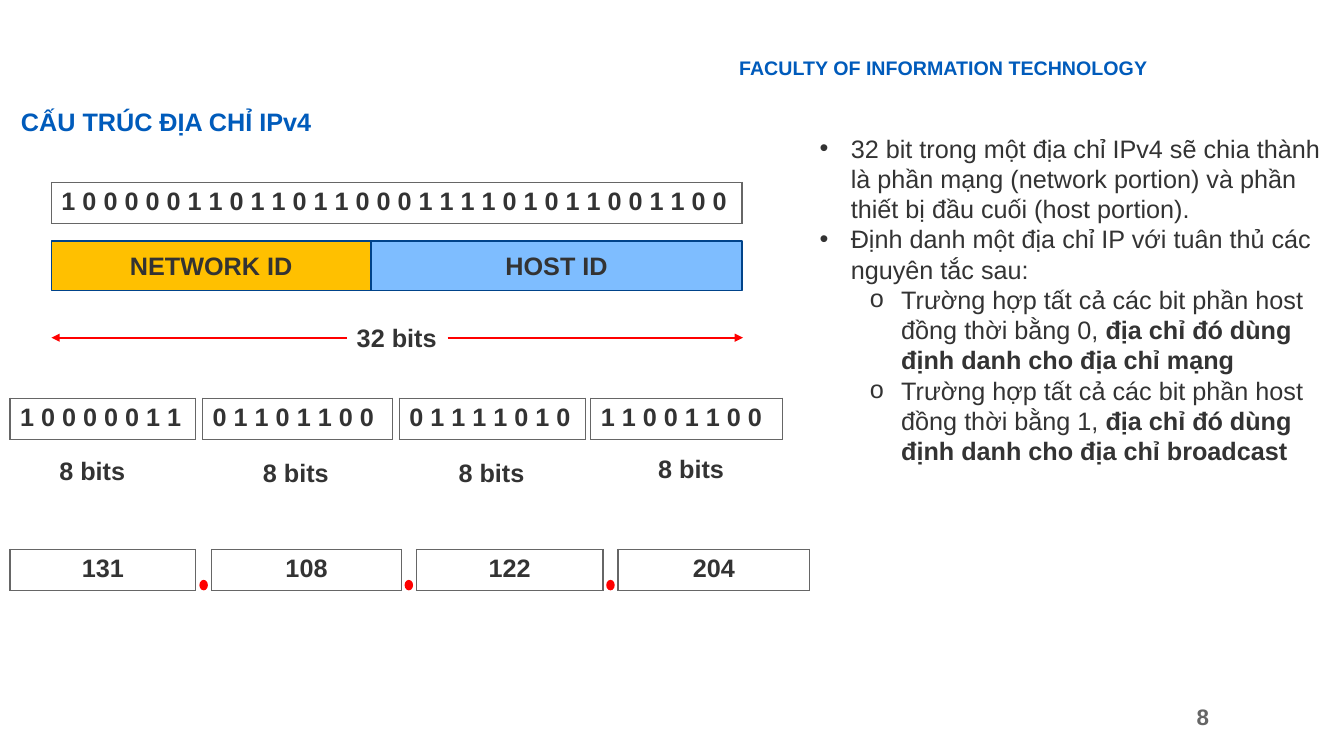
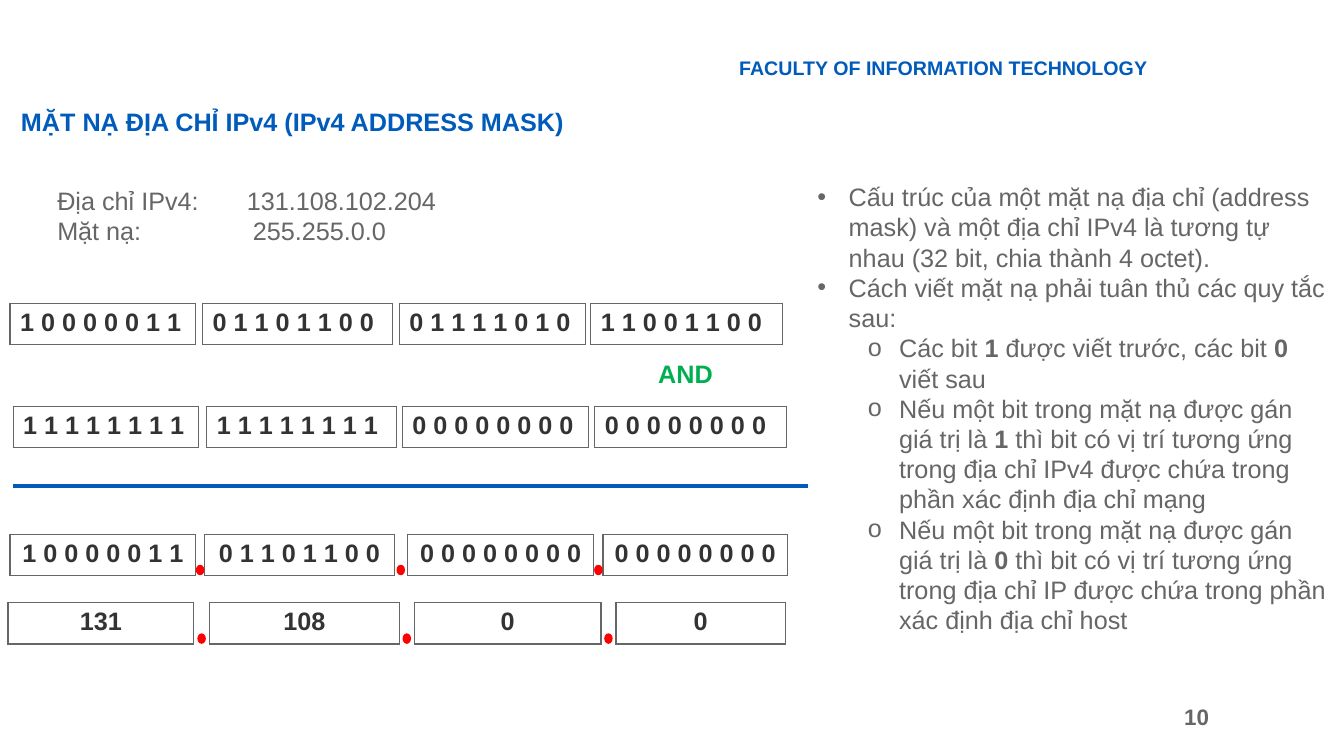
from lxml.etree import SubElement
from pptx import Presentation
from pptx.dml.color import RGBColor
from pptx.enum.shapes import MSO_CONNECTOR, MSO_SHAPE
from pptx.enum.text import MSO_ANCHOR, PP_ALIGN
from pptx.oxml.ns import qn
from pptx.util import Inches, Pt

# Shared look
BLUE, DARK, GRAY, RED, GREEN = "005BBB", "333333", "666666", "FF0000", "00B050"
NAVY, GOLD, SKY = "00438A", "FFC000", "7EBDFF"
BASE = {"name": "Arial", "size": Pt(18), "bold": False}
BOLD = {**BASE, "bold": True}
HEAD = {**BOLD, "size": Pt(14)}
PAGE = {**BOLD, "size": Pt(16)}
LEFT, MID, RIGHT = PP_ALIGN.LEFT, PP_ALIGN.CENTER, PP_ALIGN.RIGHT

# Octet rows: left edges and widths
HIGH = 0.41
WIDE = [1.84, 1.88, 1.85, 1.9]
BITS = [0.1, 2.01, 3.96, 5.86]
MASK = [0.13, 2.05, 3.99, 5.9]
SUMS = [0.1, 2.03, 4.04, 5.98]
NUMS = [0.1, 2.1, 4.13, 6.13]
CODE = ["1 0 0 0 0 0 1 1", "0 1 1 0 1 1 0 0", "0 1 1 1 1 0 1 0", "1 1 0 0 1 1 0 0"]
ONES, NULL = "1 1 1 1 1 1 1 1", "0 0 0 0 0 0 0 0"


def tint(code):
    return RGBColor.from_string(code)


def box(*sides):
    return [Inches(side) for side in sides]


def write(para, text, form, color, align=LEFT):
    """Add text; parts between ** marks are bold."""
    para.alignment = align
    for num, part in enumerate(text.split("**")):
        if not part:
            continue
        run = para.add_run()
        run.text = part
        for key, value in form.items():
            setattr(run.font, key, value)
        if num % 2:
            run.font.bold = True
        run.font.color.rgb = tint(color)


def label(slide, at, text, form=BOLD, color=DARK, align=LEFT, wrap=True):
    frame = slide.shapes.add_textbox(*box(*at)).text_frame
    frame.word_wrap = wrap
    if text:
        write(frame.paragraphs[0], text, form, color, align)
    return frame


def next_para(frame, num):
    return frame.add_paragraph() if num else frame.paragraphs[0]


def bullets(slide, at, color, items):
    frame = label(slide, at, "")
    for num, (level, text) in enumerate(items):
        para = next_para(frame, num)
        para.level = level
        props = para._p.get_or_add_pPr()
        props.set("marL", str(Inches(0.31 + 0.5 * level)))
        props.set("indent", str(-Inches(0.31)))
        SubElement(props, qn("a:buFont"), typeface="Arial")
        SubElement(props, qn("a:buChar"), char="•o"[level])
        write(para, text, BASE, color)


def cell(slide, left, top, wide, text, align=LEFT):
    """One bordered table cell."""
    grid = slide.shapes.add_table(1, 1, *box(left, top, wide, HIGH)).table
    grid.first_row = grid.horz_banding = False
    unit = grid.cell(0, 0)
    props = unit._tc.get_or_add_tcPr()
    for side in "LRTB":
        edge = SubElement(props, qn("a:ln" + side), w=str(Pt(1)))
        fill = SubElement(edge, qn("a:solidFill"))
        SubElement(fill, qn("a:srgbClr"), val=GRAY)
    unit.fill.background()
    write(unit.text_frame.paragraphs[0], text, BOLD, DARK, align)


def shape(slide, kind, at, fill, edge):
    item = slide.shapes.add_shape(kind, *box(*at))
    item.shadow.inherit = False
    item.fill.solid()
    item.fill.fore_color.rgb = tint(fill)
    item.line.color.rgb = tint(edge)
    item.line.width = Pt(1)
    return item


def block(slide, left, wide, text, fill):
    item = shape(slide, MSO_SHAPE.RECTANGLE, (left, 2.39, wide, 0.49), fill, NAVY)
    item.text_frame.vertical_anchor = MSO_ANCHOR.MIDDLE
    write(item.text_frame.paragraphs[0], text, BOLD, DARK, MID)


def row(slide, top, lefts, texts, wides=WIDE, align=LEFT, dots=False):
    """Four octets, with a dot centred in each gap if asked."""
    for left, wide, text in zip(lefts, wides, texts):
        cell(slide, left, top, wide, text, align)
    if dots:
        for left, wide, after in zip(lefts, wides, lefts[1:]):
            mid = (left + wide + after) / 2
            shape(slide, MSO_SHAPE.OVAL, (mid - 0.035, top + 0.31, 0.07, 0.09), RED, RED)


def line(slide, start, end, top, color, width, arrow=False):
    item = slide.shapes.add_connector(MSO_CONNECTOR.STRAIGHT, *box(start, top, end, top))
    item.line.color.rgb = tint(color)
    item.line.width = Pt(width)
    props = item._element.spPr
    if arrow:
        SubElement(props.find(qn("a:ln")), qn("a:tailEnd"), type="triangle")
    SubElement(props, qn("a:effectLst"))


def start(deck, title, page):
    """New slide with header, title and page number."""
    slide = deck.slides.add_slide(deck.slide_layouts[6])
    foot = label(slide, (7.59, 6.91, 4.5, 0.4), page, PAGE, GRAY, RIGHT)
    foot.vertical_anchor = MSO_ANCHOR.MIDDLE
    label(slide, (6.96, 0.51, 4.52, 0.34), "FACULTY OF INFORMATION TECHNOLOGY", HEAD, BLUE, RIGHT)
    name = label(slide, (0.11, 1.04, 6.19, 0.41), title, BOLD, BLUE)
    name.paragraphs[0].line_spacing = 0.9
    return slide


def layout(deck):
    slide = start(deck, "CẤU TRÚC ĐỊA CHỈ IPv4", "8")
    # Whole address and its two parts
    cell(slide, 0.51, 1.81, 6.85, " ".join(CODE))
    block(slide, 0.51, 3.17, "NETWORK ID", GOLD)
    block(slide, 3.68, 3.68, "HOST ID", SKY)
    label(slide, (3.44, 3.15, 1, 0.4), "32 bits", wrap=False)
    for near, far in [(3.44, 0.51), (4.44, 7.37)]:
        line(slide, near, far, 3.35, RED, 1.5, arrow=True)
    # Octets
    row(slide, 3.95, BITS, CODE)
    for left, top in [(0.49, 4.47), (2.51, 4.49), (4.45, 4.49), (6.43, 4.45)]:
        label(slide, (left, top, 0.86, 0.4), "8 bits", wrap=False)
    row(slide, 5.45, NUMS, ["131", "108", "122", "204"], align=MID, dots=True)
    # Notes at right
    bullets(slide, (8.03, 1.27, 5.31, 4.04), DARK, [
        (0, "32 bit trong một địa chỉ IPv4 sẽ chia thành là phần mạng (network portion) "
            "và phần thiết bị đầu cuối (host portion)."),
        (0, "Định danh một địa chỉ IP với tuân thủ các nguyên tắc sau:"),
        (1, "Trường hợp tất cả các bit phần host đồng thời bằng 0, "
            "**địa chỉ đó dùng định danh cho địa chỉ mạng**"),
        (1, "Trường hợp tất cả các bit phần host đồng thời bằng 1, "
            "**địa chỉ đó dùng định danh cho địa chỉ broadcast**"),
    ])


def masking(deck):
    slide = start(deck, "MẶT NẠ ĐỊA CHỈ IPv4 (IPv4 ADDRESS MASK)", "10")
    # Address and mask
    frame = label(slide, (0.47, 1.79, 4.03, 0.71), "")
    pairs = [("Địa chỉ IPv4:\t131.108.102.204", 1.88), ("Mặt nạ:\t255.255.0.0", 1.94)]
    for num, (text, stop) in enumerate(pairs):
        para = next_para(frame, num)
        tabs = SubElement(para._p.get_or_add_pPr(), qn("a:tabLst"))
        SubElement(tabs, qn("a:tab"), pos=str(Inches(stop)), algn="l")
        write(para, text, BASE, GRAY)
    # AND sum
    row(slide, 3.01, BITS, CODE)
    label(slide, (6.43, 3.51, 0.75, 0.4), "AND", color=GREEN, wrap=False)
    row(slide, 4.03, MASK, [ONES, ONES, NULL, NULL])
    line(slide, 0.13, 8.01, 4.82, BLUE, 3)
    row(slide, 5.3, SUMS, CODE[:2] + [NULL, NULL], WIDE[:3] + [1.83], MID, dots=True)
    lefts = [left - 0.02 for left in NUMS]
    row(slide, 5.98, lefts, ["131", "108", "0", "0"], WIDE[:3] + [1.68], MID, dots=True)
    # Notes at right
    bullets(slide, (8.01, 1.75, 5.24, 5.25), GRAY, [
        (0, "Cấu trúc của một mặt nạ địa chỉ (address mask) và một địa chỉ IPv4 "
            "là tương tự nhau (32 bit, chia thành 4 octet)."),
        (0, "Cách viết mặt nạ phải tuân thủ các quy tắc sau:"),
        (1, "Các bit **1 **được viết trước, các bit **0 **viết sau"),
        (1, "Nếu một bit trong mặt nạ được gán giá trị là **1 **thì bit có vị trí tương ứng "
            "trong địa chỉ IPv4 được chứa trong phần xác định địa chỉ mạng"),
        (1, "Nếu một bit trong mặt nạ được gán giá trị là **0 **thì bit có vị trí tương ứng "
            "trong địa chỉ IP được chứa trong phần xác định địa chỉ host"),
    ])


def main():
    deck = Presentation()
    deck.slide_width, deck.slide_height = box(13.33, 7.5)
    layout(deck)
    masking(deck)
    deck.save("out.pptx")


if __name__ == "__main__":
    main()
